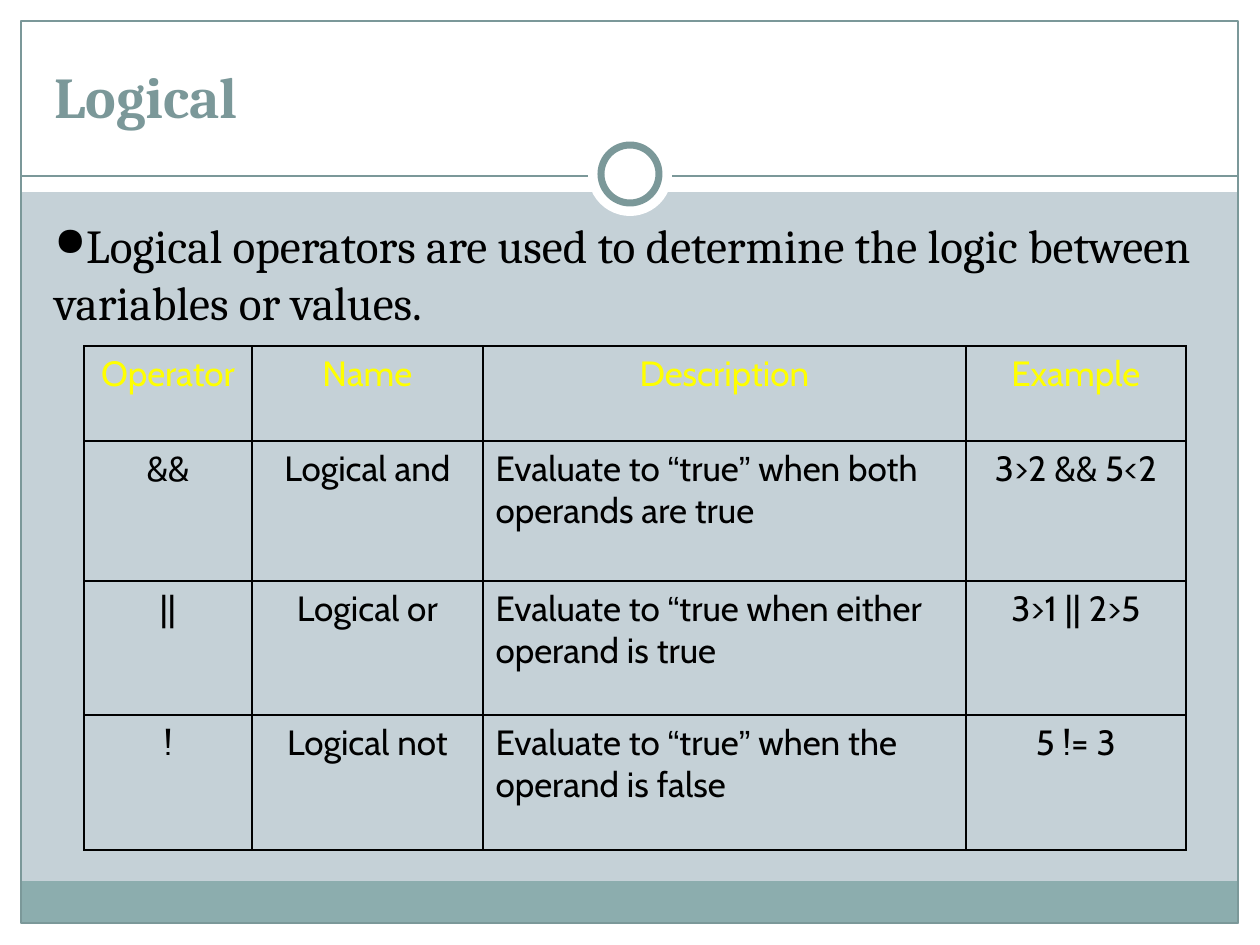
"""Build the slide on logical operators with its table."""
from itertools import groupby
from lxml import etree
from pptx import Presentation, util as u
from pptx.dml.color import RGBColor
from pptx.enum import shapes, text
from pptx.oxml import parse_xml
from pptx.oxml.ns import nsdecls, qn

WHITE = RGBColor(0xFF, 0xFF, 0xFF)
BLACK = RGBColor(0, 0, 0)
YELLOW = RGBColor(0xFF, 0xFF, 0)
PALE = RGBColor(0xC5, 0xD1, 0xD7)
TEAL = RGBColor(0x8C, 0xAD, 0xAE)
SLATE = RGBColor(0x7B, 0x98, 0x99)
LEFT, MID = text.PP_ALIGN.LEFT, text.PP_ALIGN.CENTER
RECT, OVAL = shapes.MSO_SHAPE.RECTANGLE, shapes.MSO_SHAPE.OVAL


def px(*vals):
    return [u.Emu(round(v * 914400 / 126)) for v in vals]


def write(frame, words, font="Cabin", size=20, color=BLACK, align=LEFT, bold=False):
    frame.word_wrap = True
    para = frame.paragraphs[0]
    para.alignment = align
    for quote, part in groupby(words, lambda c: c in "“”"):
        run = para.add_run()
        run.text = "".join(part)
        run.font.name = "Arial" if quote else font
        run.font.size = u.Pt(size)
        run.font.bold = bold
        run.font.color.rgb = color


deck = Presentation()
deck.slide_width, deck.slide_height = px(1260, 945)
slide = deck.slides.add_slide(deck.slide_layouts[5])
slide.background.fill.solid()
slide.background.fill.fore_color.rgb = PALE
tree = slide.shapes

frames = [
    (RECT, (0, 924, 1260, 21), WHITE, 0),
    (RECT, (0, 0, 1260, 192), WHITE, 0),
    (RECT, (0, 0, 21, 945), WHITE, 0),
    (RECT, (1239, 0, 21, 945), WHITE, 0),
    (RECT, (21, 881, 1217, 43), TEAL, 0),
    (RECT, (21, 21, 1217, 902), None, 0.75),
    (None, (21, 176, 1238, 176), None, 0.75),
    (OVAL, (588, 132, 84, 84), WHITE, 0),
    (OVAL, (601, 145, 58, 58), WHITE, 4),
]
for kind, box, fill, width in frames:
    if kind is None:
        item = tree.add_connector(shapes.MSO_CONNECTOR.STRAIGHT, *px(*box))
        etree.SubElement(item.line._get_or_add_ln().getparent(), qn("a:effectLst"))
    else:
        item = tree.add_shape(kind, *px(*box))
        item.shadow.inherit = False
        if fill is None:
            item.fill.background()
        else:
            item.fill.solid()
            item.fill.fore_color.rgb = fill
    if width:
        item.line.color.rgb = SLATE
        item.line.width = u.Pt(width)
    else:
        item.line.fill.background()

body = tree.add_textbox(*px(42, 210, 1172, 630)).text_frame
props = body.paragraphs[0]._p.get_or_add_pPr()
props.set("marL", "0")
props.set("indent", "0")
etree.SubElement(props, qn("a:buSzPct")).set("val", "85000")
etree.SubElement(props, qn("a:buChar")).set("char", "●")
write(body, "Logical operators are used to determine the logic between variables or values.",
      font="Cambria", size=27)

title = tree.title
title.left, title.top, title.width, title.height = px(42, 32, 1176, 104)
title.text_frame.vertical_anchor = text.MSO_ANCHOR.BOTTOM
title.text_frame.auto_size = text.MSO_AUTO_SIZE.NONE
write(title.text_frame, "Logical", font="Cambria", size=33, color=SLATE, bold=True)
tree._spTree.append(title._element)

rows = [
    ("Operator", "Name", "Description", "Example"),
    ("&&", "Logical and", "Evaluate to “true” when both operands are true", "3>2 && 5<2"),
    ("||", "Logical or", "Evaluate to “true when either operand is true", "3>1 || 2>5"),
    ("!", "Logical not", "Evaluate to “true” when the operand is false", "5 != 3"),
]
grid = tree.add_table(4, 4, *px(84, 346, 1102, 504)).table
grid.first_row = grid.horz_banding = False
for col, width in zip(grid.columns, px(168, 231, 483, 220)):
    col.width = width
for row, height in zip(grid.rows, px(95, 140, 134, 135)):
    row.height = height
for r, row in enumerate(rows):
    for c, words in enumerate(row):
        cell = grid.cell(r, c)
        props = cell._tc.get_or_add_tcPr()
        for side in ("lnL", "lnR", "lnT", "lnB"):
            props.append(parse_xml(
                f'<a:{side} {nsdecls("a")} w="12700"><a:solidFill>'
                f'<a:srgbClr val="{BLACK}"/></a:solidFill></a:{side}>'))
        cell.fill.background()
        write(cell.text_frame, words, color=BLACK if r else YELLOW,
              align=LEFT if r and c == 2 else MID)

deck.save("out.pptx")
